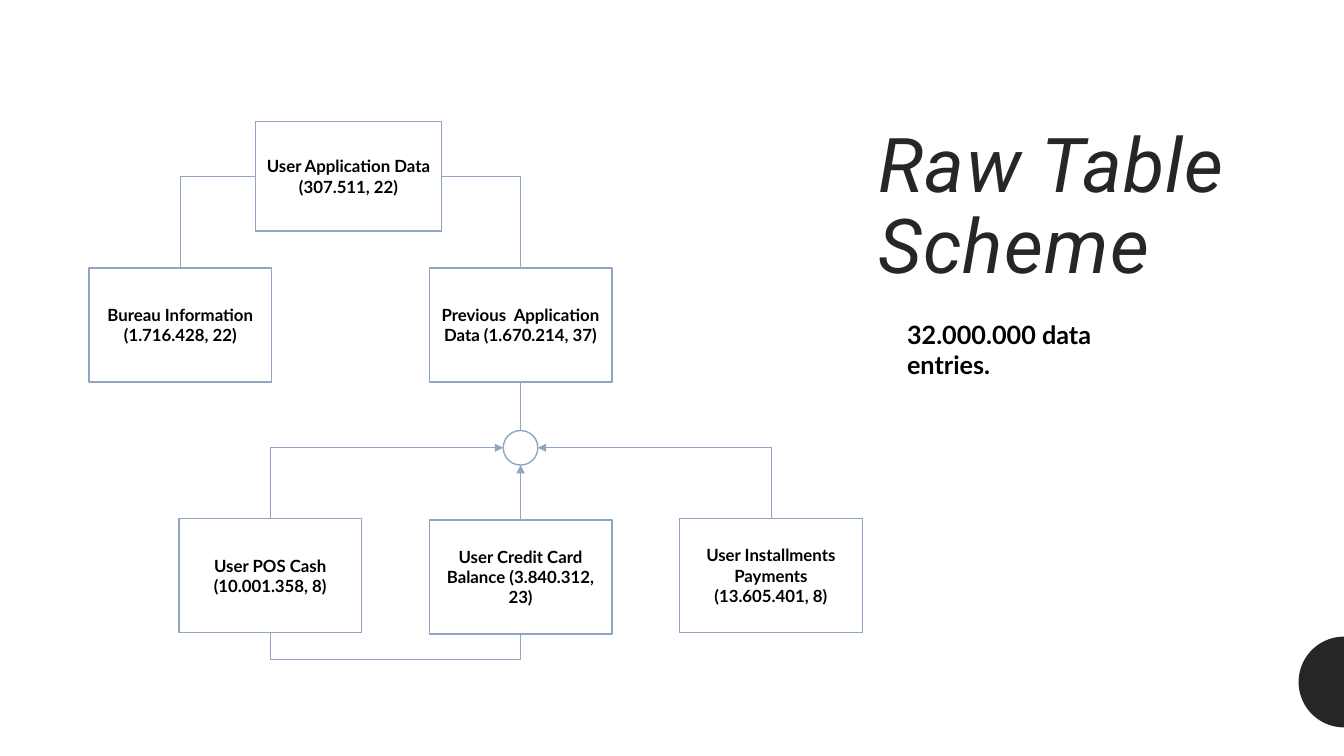
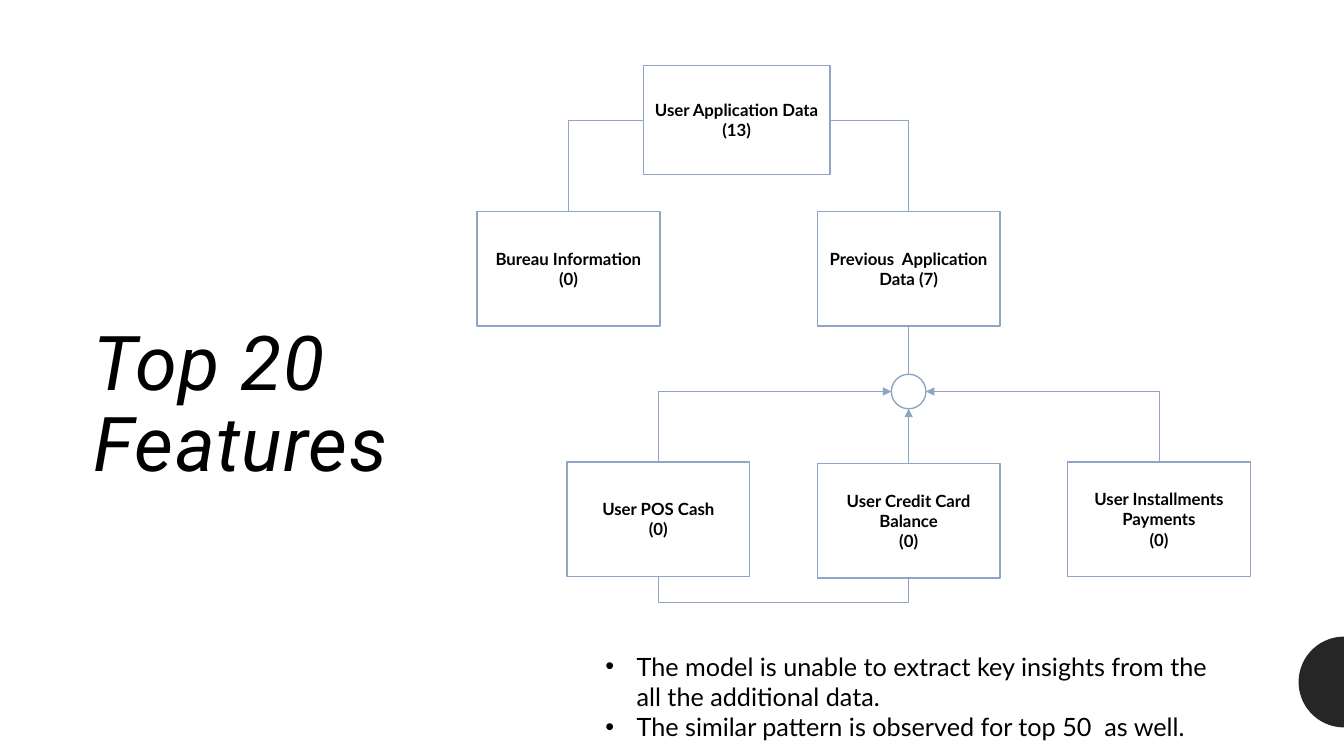
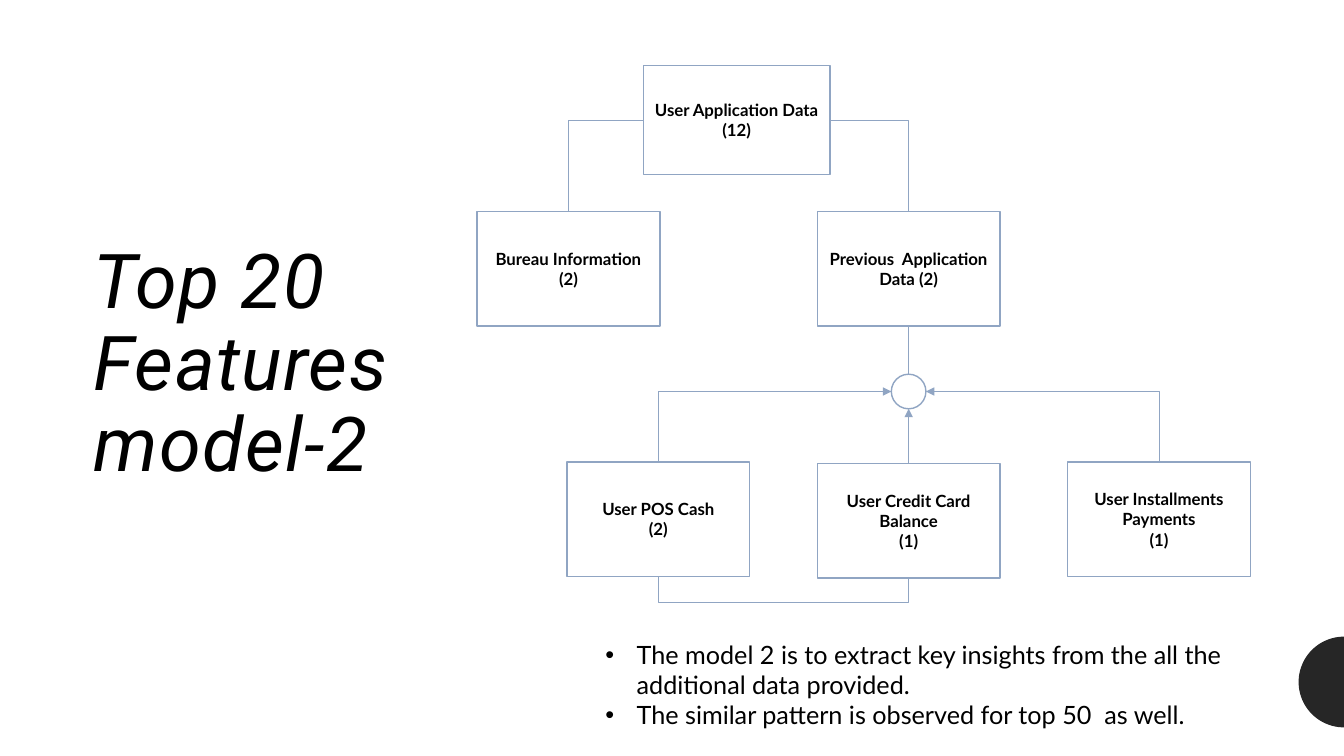
import math

import pptx
import pptx.dml.color
import pptx.enum.shapes
import pptx.enum.text
import pptx.oxml
import pptx.oxml.ns
import pptx.util

SHAPE = pptx.enum.shapes.MSO_SHAPE
LINK = pptx.enum.shapes.MSO_CONNECTOR
ANCHOR = pptx.enum.text.MSO_ANCHOR
ALIGN = pptx.enum.text.PP_ALIGN
qn = pptx.oxml.ns.qn

# Grid of the slide: 160 columns by 90 rows
WIDTH, HEIGHT = pptx.util.Inches(13.33), pptx.util.Inches(7.5)
COLUMNS, ROWS = 160, 90

# Sides of a box, as connection sites
TOP, LEFT, BOTTOM, RIGHT = range(4)


def color(hex_text):
    return pptx.dml.color.RGBColor.from_string(hex_text)


def add_xml(parent, tag, **attributes):
    """Append an empty DrawingML element and return it."""
    child = pptx.oxml.parse_xml(
        f'<a:{tag} xmlns:a="http://schemas.openxmlformats.org/drawingml/2006/main"/>')
    for key, value in attributes.items():
        child.set(key, value)
    parent.append(child)
    return child


def write(frame, text, font="Lato", size=18, ink="000000", bold=False, italic=False,
          align=ALIGN.LEFT, anchor=ANCHOR.TOP, leading=None, tracking=None, bullet=None):
    """Fill a text frame, one paragraph for each line of text."""
    frame.word_wrap = True
    frame.vertical_anchor = anchor
    for number, line in enumerate(text.split("\n")):
        paragraph = frame.add_paragraph() if number else frame.paragraphs[0]
        paragraph.alignment = align
        if leading:
            paragraph.line_spacing = leading
        run = paragraph.add_run()
        run.text = line
        run.font.name, run.font.size = font, pptx.util.Pt(size)
        run.font.bold, run.font.italic = bold, italic
        run.font.color.rgb = color(ink)
        if tracking:
            run.font._element.set("spc", str(tracking))
        if bullet:
            hang = pptx.util.Inches(0.31)
            properties = paragraph._p.get_or_add_pPr()
            properties.set("marL", str(hang))
            properties.set("indent", str(-hang))
            add_xml(properties, "buFont", typeface="Arial")
            add_xml(properties, "buChar", char=bullet)


class Deck:
    DARK, BLACK, WHITE, STEEL = "262626", "000000", "FFFFFF", "90A5C3"

    def __init__(self):
        self.show = pptx.Presentation()
        self.show.slide_width, self.show.slide_height = WIDTH, HEIGHT
        self.slide = None

    def x(self, columns):
        return round(WIDTH * columns / COLUMNS)

    def y(self, rows):
        return round(HEIGHT * rows / ROWS)

    def place(self, left, top, width, height):
        return self.x(left), self.y(top), self.x(width), self.y(height)

    def new_slide(self):
        self.slide = self.show.slides.add_slide(self.show.slide_layouts[6])
        self.edge_disc()

    def edge_disc(self, middle=81.2, radius=5.4, steps=48):
        """Half disc cut by the right edge of the slide."""
        angles = [math.pi * (0.5 + step / steps) for step in range(steps + 1)]
        rim = [(self.x(COLUMNS + radius * math.cos(a)), self.y(middle + radius * math.sin(a)))
               for a in angles]
        builder = self.slide.shapes.build_freeform(*rim[0])
        builder.add_line_segments(rim[1:], close=True)
        disc = builder.convert_to_shape()
        disc.shadow.inherit = False
        disc.fill.solid()
        disc.fill.fore_color.rgb = color(self.DARK)
        disc.line.fill.background()

    def text(self, box, text, **style):
        write(self.slide.shapes.add_textbox(*self.place(*box)).text_frame, text, **style)

    def title(self, box, text, **style):
        self.text(box, text, font="Roboto", size=54, italic=True, leading=0.9,
                  tracking=100, **style)

    def node(self, box, text="", kind=SHAPE.RECTANGLE):
        node = self.slide.shapes.add_shape(kind, *self.place(*box))
        node.shadow.inherit = False
        node.fill.solid()
        node.fill.fore_color.rgb = color(self.WHITE)
        node.line.color.rgb = color(self.STEEL)
        node.line.width = pptx.util.Pt(1)
        if text:
            write(node.text_frame, text, size=12, bold=True, align=ALIGN.CENTER,
                  anchor=ANCHOR.MIDDLE)
        return node

    def join(self, begin, begin_side, end, end_side, preset="line", arrow=False):
        """Connect two nodes; an arrow points at the begin node."""
        kind = LINK.STRAIGHT if preset == "line" else LINK.ELBOW
        link = self.slide.shapes.add_connector(kind, 0, 0, 0, 0)
        link.begin_connect(begin, begin_side)
        link.end_connect(end, end_side)
        for node, tag in ((begin, "a:stCxn"), (end, "a:endCxn")):
            if node.auto_shape_type == SHAPE.FLOWCHART_CONNECTOR:
                # A circle has eight sites, so each side counts double
                site = next(link._element.iter(qn(tag)))
                site.set("idx", str(2 * int(site.get("idx"))))
        link.line.color.rgb = color(self.STEEL)
        link.line.width = pptx.util.Pt(0.5)
        if arrow:
            add_xml(link.line._get_or_add_ln(), "headEnd", type="triangle")
        add_xml(link._element.spPr, "effectLst")
        next(link._element.iter(qn("a:prstGeom"))).set("prst", preset)
        return link

    def bracket(self, first, second, drop=3.2):
        """U-shaped link below two neighbouring nodes."""
        link = self.join(first, BOTTOM, second, BOTTOM, preset="bentConnector3")
        span, rise = link.width, link.height
        center_x, center_y = link.left + span // 2, link.top + rise // 2
        link.width, link.height = rise, span
        link.left, link.top = center_x - rise // 2, center_y - span // 2
        frame = next(link._element.iter(qn("a:xfrm")))
        frame.set("rot", str(270 * 60000))
        frame.set("flipH", "1")
        depth = round(100000 * self.y(drop) / rise)
        guides = next(link._element.iter(qn("a:avLst")))
        add_xml(guides, "gd", name="adj1", fmla=f"val {depth}")

    def scheme(self, left, top, labels):
        """Tree of the six source tables, with its top left corner given."""
        card_width, card_height, step = 21.75, 13.6, 29.8
        first = left + 10.7
        second = first + step
        size = card_width, card_height

        # Tables
        application = self.node((left + 19.8, top, 22.2, 13), labels[0])
        bureau = self.node((left, top + 17.4, *size), labels[1])
        previous = self.node((second, top + 17.4, *size), labels[2])
        cash = self.node((first, top + 47.2, *size), labels[3])
        credit = self.node((second, top + 47.4, *size), labels[4])
        installments = self.node((second + step, top + 47.2, *size), labels[5])
        hub_size = 4.12
        hub = self.node((second + (card_width - hub_size) / 2, top + 36.75,
                         hub_size, hub_size), kind=SHAPE.FLOWCHART_CONNECTOR)

        # Links
        corner = "bentConnector2"
        self.join(application, LEFT, bureau, TOP, corner)
        self.join(application, RIGHT, previous, TOP, corner)
        self.join(previous, BOTTOM, hub, TOP)
        self.join(hub, LEFT, cash, TOP, corner, arrow=True)
        self.join(hub, BOTTOM, credit, TOP, arrow=True)
        self.join(hub, RIGHT, installments, TOP, corner, arrow=True)
        self.bracket(cash, credit)

    def features(self, heading, counts, findings, findings_top):
        """Slide with the number of top features from each table."""
        self.new_slide()
        self.title((10, 14.8, 45.2, 43.9), heading, anchor=ANCHOR.BOTTOM)
        self.text((70.9, findings_top, 76.1, 12.1), findings, bullet="•")
        patterns = ("User Application Data\n({})", "Bureau Information ({})",
                    "Previous  Application Data ({})", "User POS Cash\n({})",
                    "User Credit Card Balance\n({})", "User Installments Payments\n({})")
        self.scheme(56.8, 7.8, [p.format(n) for p, n in zip(patterns, counts)])


def main():
    deck = Deck()

    # Raw tables
    deck.new_slide()
    deck.title((103.4, 14.5, 45.5, 41.3), "Raw Table Scheme", ink=Deck.DARK)
    deck.scheme(10.6, 14.5, (
        "User Application Data (307.511, 22)",
        "Bureau Information (1.716.428, 22)",
        "Previous  Application Data (1.670.214, 37)",
        "User POS Cash (10.001.358, 8)",
        "User Credit Card Balance (3.840.312, 23)",
        "User Installments Payments (13.605.401, 8)"))
    deck.text((106.8, 37.4, 32.3, 8.5), "32.000.000 data entries.", bold=True)

    # Top features of both models
    pattern = "The similar pattern is observed for top 50  as well."
    deck.features(
        "Top 20 Features", (13, 0, 7, 0, 0, 0),
        "The model is unable to extract key insights from the all the additional data.\n"
        + pattern, 76.9)
    deck.features(
        "Top 20 Features model-2", (12, 2, 2, 2, 1, 1),
        "The model 2 is to extract key insights from the all the additional data provided.\n"
        + pattern, 75.5)

    deck.show.save("out.pptx")


if __name__ == "__main__":
    main()
